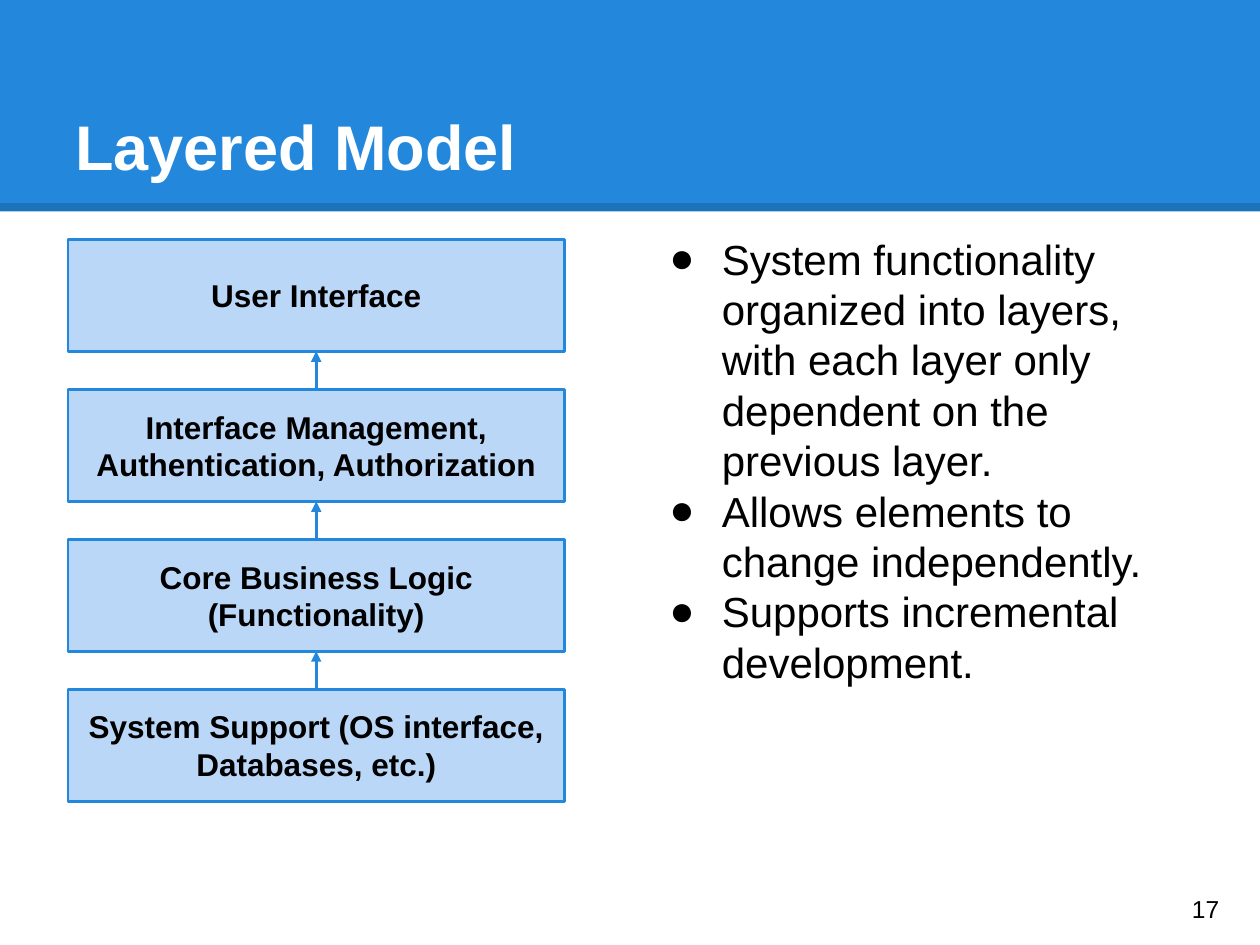
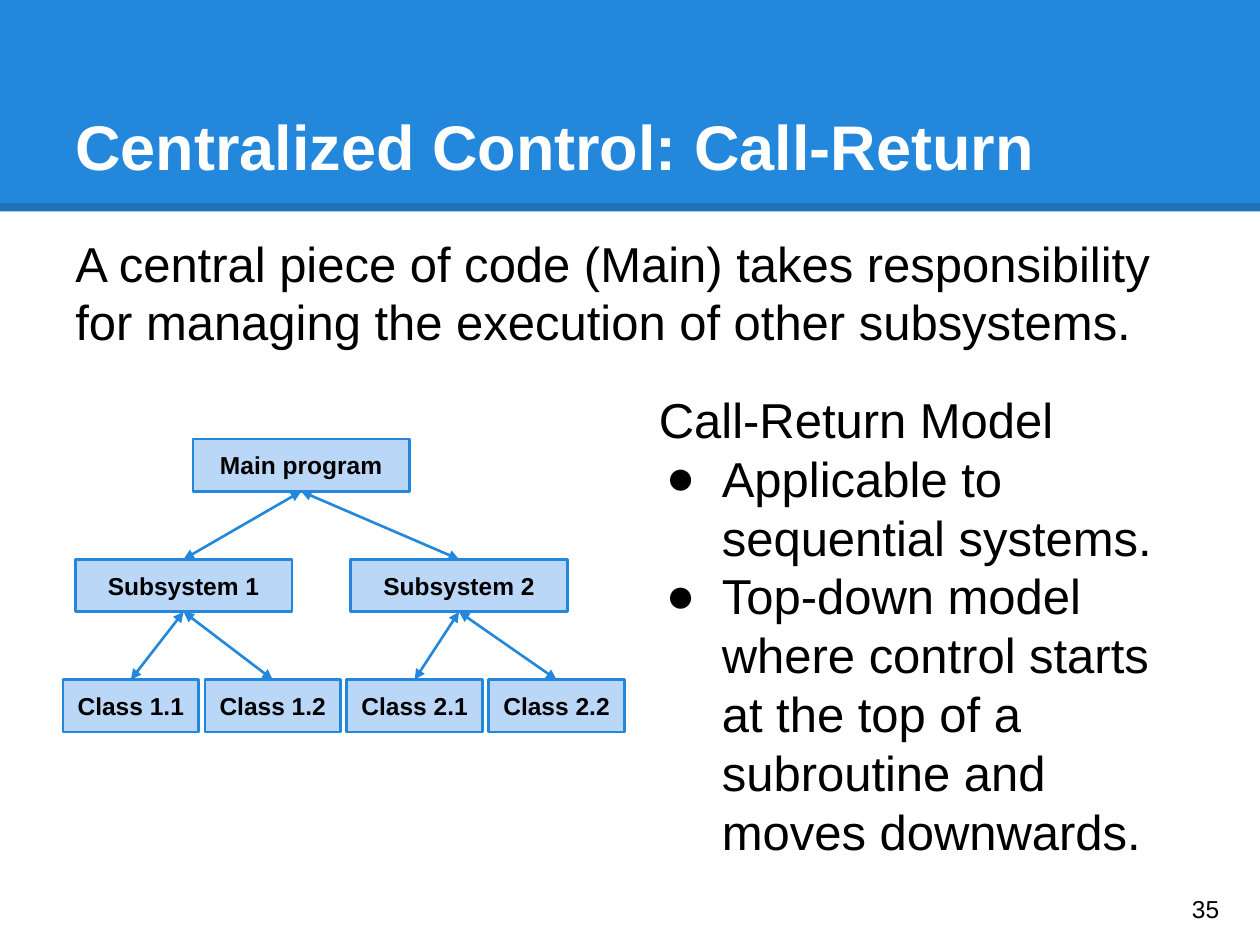
import pptx
import pptx.util
import pptx.dml.color
import pptx.enum.shapes
import pptx.enum.text
import pptx.oxml.ns
from lxml import etree

Pt = pptx.util.Pt
RGB = pptx.dml.color.RGBColor.from_string
qn = pptx.oxml.ns.qn
RECT = pptx.enum.shapes.MSO_SHAPE.RECTANGLE
LINE = pptx.enum.shapes.MSO_CONNECTOR.STRAIGHT
ALIGN = pptx.enum.text.PP_ALIGN
ANCHOR = pptx.enum.text.MSO_ANCHOR

FONT = "Arial"
HEX = {"blue": "2388DB", "pale": "BBD7F8", "black": "000000", "white": "FFFFFF"}


def put(slide, area, lines, size, color="black", bold=False, box=False,
        anchor=ANCHOR.TOP, hang=0, plain=0):
    """Add text, boxed or free; with hang, lines after the plain ones get bullets."""
    place = [Pt(n) for n in area]
    if box:
        shape = slide.shapes.add_shape(RECT, *place)
        shape.shadow.inherit = False
        shape.fill.solid()
        shape.fill.fore_color.rgb = RGB(HEX["pale"])
        shape.line.color.rgb = RGB(HEX["blue"])
        shape.line.width = Pt(1.5)
    else:
        shape = slide.shapes.add_textbox(*place)
    frame = shape.text_frame
    frame.word_wrap = True
    frame.vertical_anchor = anchor
    frame.margin_left = frame.margin_right = Pt(7.2)
    frame.margin_top = frame.margin_bottom = Pt(7.2)
    frame.text = "\n".join(lines)
    for i, para in enumerate(frame.paragraphs):
        para.alignment = ALIGN.CENTER if box else ALIGN.LEFT
        if hang and i >= plain:
            props = para._p.get_or_add_pPr()
            props.set("marL", str(Pt(36)))
            props.set("indent", str(-Pt(hang)))
            tint = etree.SubElement(props, qn("a:buClr"))
            etree.SubElement(tint, qn("a:srgbClr"), val=HEX["black"])
            etree.SubElement(props, qn("a:buFont"), typeface=FONT)
            etree.SubElement(props, qn("a:buChar"), char="●")
        for run in para.runs:
            run.font.name = FONT
            run.font.size = Pt(size)
            run.font.bold = bold
            run.font.color.rgb = RGB(HEX[color])
    return shape


def link(slide, start, end, ends=(), color="blue", width=1.5):
    """Draw a line between two (shape, side) pairs, or between two points."""
    wire = slide.shapes.add_connector(LINE, 0, 0, 0, 0)
    if ends:
        wire.begin_connect(*start)
        wire.end_connect(*end)
    else:
        wire.begin_x, wire.begin_y = map(Pt, start)
        wire.end_x, wire.end_y = map(Pt, end)
    wire.line.color.rgb = RGB(HEX[color])
    wire.line.width = Pt(width)
    for tip in ends:
        etree.SubElement(wire.line._get_or_add_ln(), qn("a:" + tip), type="triangle")
    etree.SubElement(wire._element.spPr, qn("a:effectLst"))
    return wire


deck = pptx.Presentation()
deck.slide_width, deck.slide_height = Pt(720), Pt(540)

# Shared frame: band, translucent rule, title and page number
pages = []
for title, num in (("Layered Model", "17"), ("Centralized Control: Call-Return", "35")):
    page = deck.slides.add_slide(deck.slide_layouts[6])
    band = page.shapes.add_shape(RECT, 0, 0, Pt(720), Pt(120.8))
    band.shadow.inherit = False
    band.fill.solid()
    band.fill.fore_color.rgb = RGB(HEX["blue"])
    band.line.fill.background()
    rule = link(page, (0, 118.4), (720, 118.4), color="black", width=4.5)
    shade = rule._element.spPr.find(".//" + qn("a:srgbClr"))
    etree.SubElement(shade, qn("a:alpha"), val="15000")
    put(page, (36, 21.6, 648, 90), [title], 36, "white", True, anchor=ANCHOR.BOTTOM)
    put(page, (674, 499, 43, 41), [num], 14, anchor=ANCHOR.MIDDLE)
    pages.append(page)
stack, tree = pages

# Layered model: points and a stack of layers, each pointing up
put(stack, (369.4, 126, 314.6, 391), [
    "System functionality organized into layers, with each layer only "
    "dependent on the previous layer.",
    "Allows elements to change independently.",
    "Supports incremental development.",
], 24, hang=30)
above = None
for i, name in enumerate((
    "User Interface",
    "Interface Management, Authentication, Authorization",
    "Core Business Logic (Functionality)",
    "System Support (OS interface, Databases, etc.)",
)):
    layer = put(stack, (38.9, 136.8 + 85.7 * i, 283.6, 64), [name], 18,
                bold=True, box=True, anchor=ANCHOR.MIDDLE)
    if above:
        link(stack, (layer, 0), (above, 2), ["tailEnd"])
    above = layer

# Call-return: introduction and points
put(tree, (36, 126, 642, 111), [
    "A central piece of code (Main) takes responsibility for managing "
    "the execution of other subsystems.",
], 28)
put(tree, (369.4, 215.3, 309, 301.7), [
    "Call-Return Model",
    "Applicable to sequential systems.",
    "Top-down model where control starts at the top of a subroutine "
    "and moves downwards.",
], 28, hang=32, plain=1)

# Call tree: name, parent, row, left, width
nodes = [("Main program", None, 0, 110.2, 123.8),
         ("Subsystem 1", "Main program", 1, 43, 123.8),
         ("Subsystem 2", "Main program", 1, 200.4, 123.8)]
for i in range(4):
    group, part = i // 2 + 1, i % 2 + 1
    nodes.append((f"Class {group}.{part}", f"Subsystem {group}", 2, 36 + 81.1 * i, 77.6))
made = {}
for name, head, row, left, width in nodes:
    made[name] = put(tree, (left, 250.8 + 68.8 * row, width, 30), [name], 14,
                     bold=True, box=True, anchor=ANCHOR.MIDDLE)
    if head:
        link(tree, (made[head], 2), (made[name], 0), ["headEnd", "tailEnd"])

deck.save("out.pptx")
